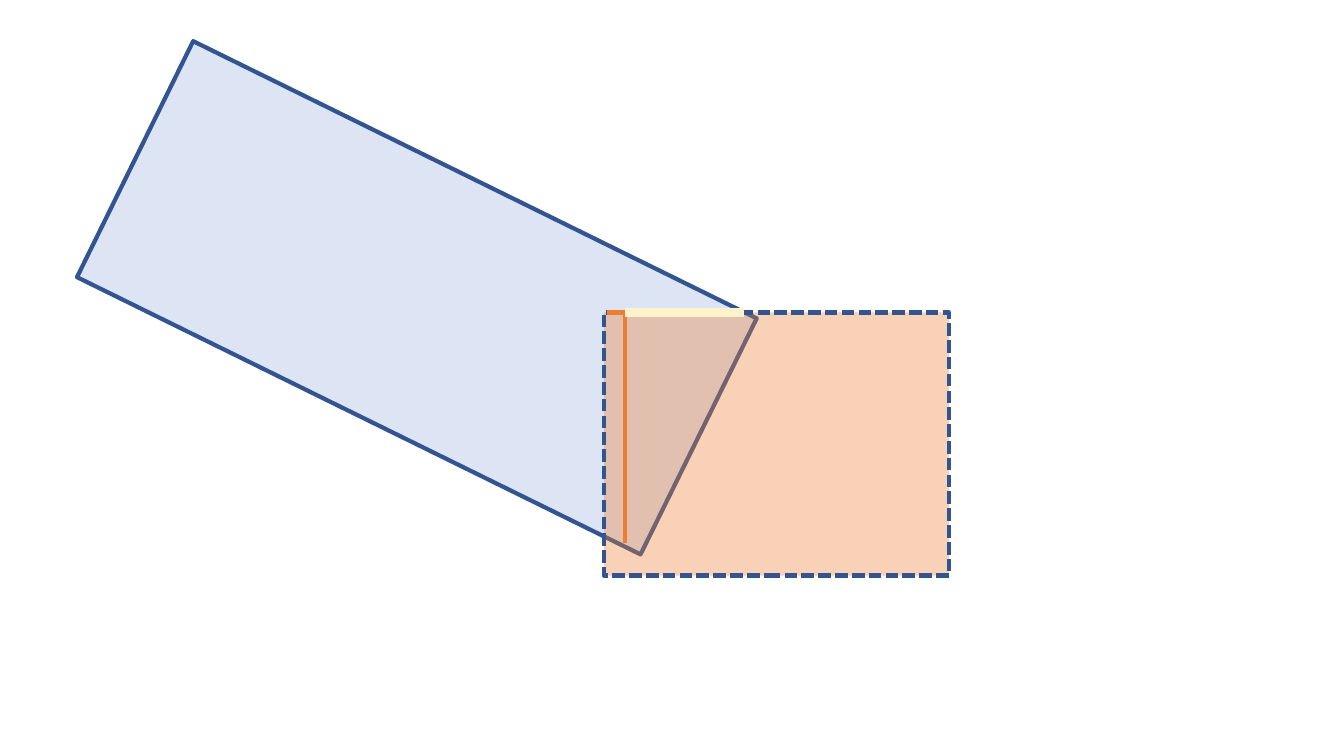
from dataclasses import dataclass

from lxml import etree
from pptx import Presentation
from pptx.dml.color import RGBColor
from pptx.enum import dml, shapes
from pptx.oxml import ns
from pptx.util import Inches, Pt


@dataclass(frozen=True)
class Theme:
    blue: str = "4472C4"
    outline: str = "325491"
    orange: str = "ED7D31"
    cream: str = "FFF2CC"
    line_width: float = 3
    highlight_width: float = 6


class Page:
    def __init__(self, deck, theme):
        self.theme = theme
        self.slide = deck.slides.add_slide(deck.slide_layouts[6])

    def style_line(self, line, color, width):
        line.color.rgb = RGBColor.from_string(color)
        line.width = Pt(width)

    def rectangle(self, left, top, width, height, color, opacity, rotation=0, dash=None):
        box = self.slide.shapes.add_shape(
            shapes.MSO_SHAPE.RECTANGLE,
            Inches(left), Inches(top), Inches(width), Inches(height),
        )
        box.shadow.inherit = False
        box.rotation = rotation
        box.fill.solid()
        box.fill.fore_color.rgb = RGBColor.from_string(color)
        fill_color = box.fill._xPr.find(ns.qn("a:solidFill"))[0]
        etree.SubElement(fill_color, ns.qn("a:alpha"), val=str(opacity * 1000))
        self.style_line(box.line, self.theme.outline, self.theme.line_width)
        if dash:
            box.line.dash_style = dash

    def segment(self, start, end, color, width):
        connector = self.slide.shapes.add_connector(
            shapes.MSO_CONNECTOR.STRAIGHT, *map(Inches, start + end)
        )
        self.style_line(connector.line, color, width)
        properties = connector._element.spPr
        etree.SubElement(properties, ns.qn("a:effectLst"))


theme = Theme()
deck = Presentation()
deck.slide_width = Inches(13.33)
deck.slide_height = Inches(7.5)
page = Page(deck, theme)

page.rectangle(1.02, 1.65, 6.23, 2.61, theme.blue, 18, rotation=26.2)
page.rectangle(5.99, 3.1, 3.42, 2.61, theme.orange, 35,
               dash=dml.MSO_LINE.SQUARE_DOT)

corner = (6.2, 3.1)
page.segment(corner, (6.2, 5.39), theme.orange, theme.line_width)
page.segment((6.02, 3.1), corner, theme.orange, theme.line_width)
page.segment(corner, (7.38, 3.1), theme.cream, theme.highlight_width)

deck.save("out.pptx")
